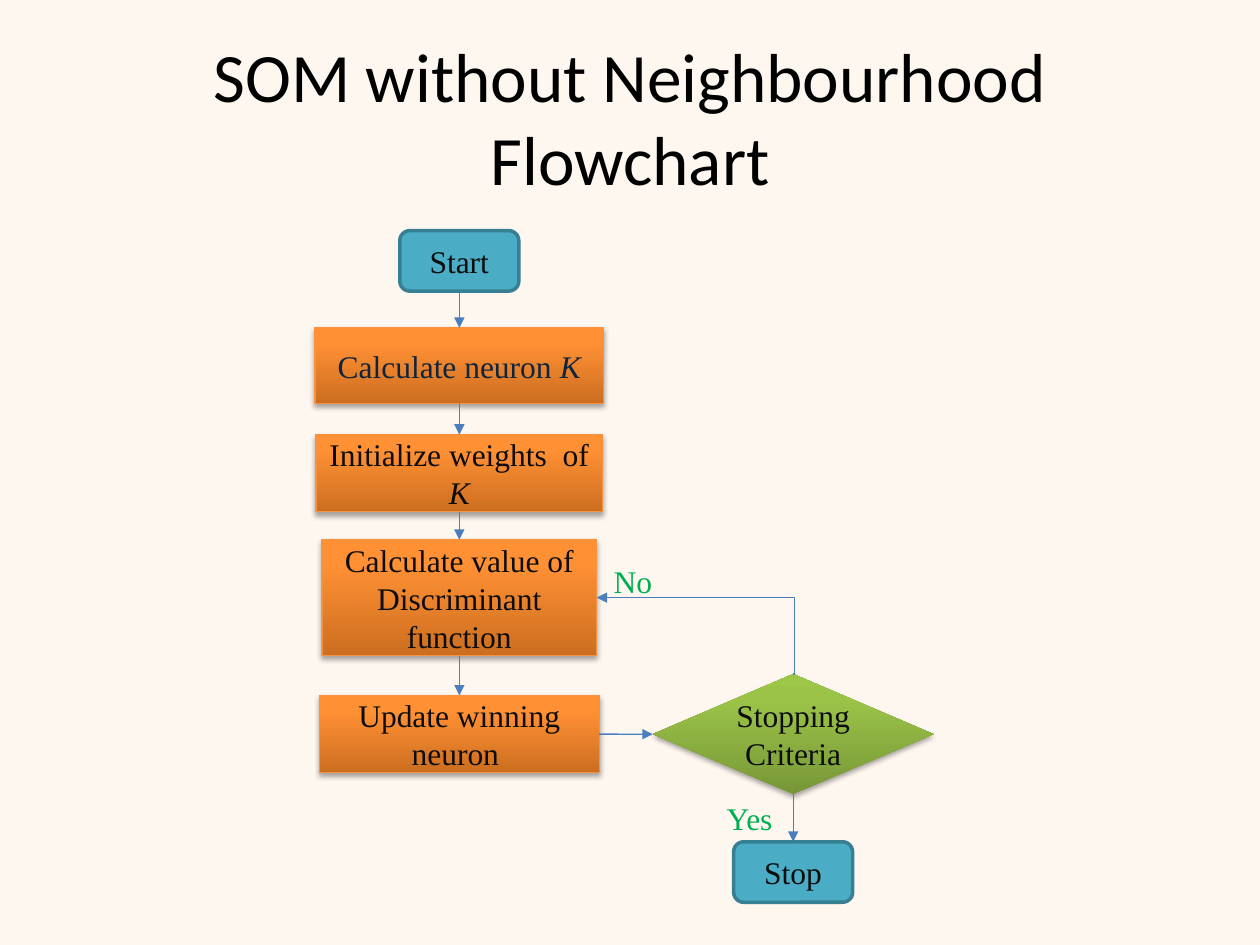
from copy import deepcopy

from lxml.etree import SubElement
from pptx import Presentation
from pptx.dml.color import RGBColor
from pptx.enum.shapes import MSO_CONNECTOR, MSO_SHAPE
from pptx.enum.text import MSO_ANCHOR, MSO_AUTO_SIZE, PP_ALIGN
from pptx.oxml.ns import qn
from pptx.util import Cm, Pt

COLORS = {
    "background": "FEF7F0",
    "title": "000000",
    "text": "0D0D0D",
    "navy": "0F243E",
    "answer": "00B050",
    "terminal": "4BACC6",
    "terminal_line": "377F92",
    "step_line": "F69240",
    "arrow": "4B7EBC",
    "shadow": "000000",
}
GRADIENTS = {
    "step": ["CC6E20", "FF9034", "FF9136"],
    "decision": ["779737", "9BC348", "9DC746"],
}
STOPS = [0, 0.8, 1]
TOP, LEFT, BOTTOM, RIGHT = range(4)


def rgb(name):
    return RGBColor.from_string(COLORS[name])


def format_run(r, size, font, color):
    r.font.size = Pt(size)
    r.font.name = font
    r.font.color.rgb = rgb(color)


def write(sp, text, color="text", italic="", align=PP_ALIGN.CENTER):
    tf = sp.text_frame
    tf.word_wrap = True
    p = tf.paragraphs[0]
    p.text = text
    p.alignment = align
    if italic:
        r = p.add_run()
        r.text = italic
        r.font.italic = True
    for r in p.runs:
        format_run(r, 18, "Times New Roman", color)


def add_gradient(sp, stops):
    sp.fill.gradient()
    sp.fill.gradient_angle = 90
    gs_list = sp._element.spPr.find(qn("a:gradFill")).find(qn("a:gsLst"))
    gs_list.append(deepcopy(gs_list[-1]))
    for stop, position, color in zip(sp.fill.gradient_stops, STOPS, stops):
        stop.position = position
        stop.color.rgb = RGBColor.from_string(color)


def add_shadow(sp):
    effects = sp._element.spPr.find(qn("a:effectLst"))
    shadow = SubElement(effects, qn("a:outerShdw"), blurRad=str(Pt(3.1)),
                        dist=str(Pt(1.8)), dir="5400000", rotWithShape="0")
    color = SubElement(shadow, qn("a:srgbClr"), val=COLORS["shadow"])
    SubElement(color, qn("a:alpha"), val="35000")


def add_node(shapes, kind, box, text, color="text", italic=""):
    sp = shapes.add_shape(kind, *box)
    sp.shadow.inherit = False
    tf = sp.text_frame
    tf.vertical_anchor = MSO_ANCHOR.MIDDLE
    tf.margin_top = tf.margin_bottom = 0
    write(sp, text, color, italic)
    return sp


def add_terminal(shapes, box, text):
    sp = add_node(shapes, MSO_SHAPE.ROUNDED_RECTANGLE, box, text)
    sp.fill.solid()
    sp.fill.fore_color.rgb = rgb("terminal")
    sp.line.color.rgb = rgb("terminal_line")
    sp.line.width = Pt(2)
    return sp


def add_step(shapes, box, text, color="text", italic=""):
    sp = add_node(shapes, MSO_SHAPE.RECTANGLE, box, text, color, italic)
    add_gradient(sp, GRADIENTS["step"])
    sp.line.color.rgb = rgb("step_line")
    sp.line.width = Pt(0.75)
    add_shadow(sp)
    return sp


def add_decision(shapes, box, text):
    sp = add_node(shapes, MSO_SHAPE.DIAMOND, box, text)
    add_gradient(sp, GRADIENTS["decision"])
    sp.line.fill.background()
    add_shadow(sp)
    return sp


def add_answer(shapes, box, text):
    sp = shapes.add_textbox(*box)
    write(sp, text, "answer", align=PP_ALIGN.LEFT)
    sp.text_frame.auto_size = MSO_AUTO_SIZE.SHAPE_TO_FIT_TEXT


def add_arrow(shapes, start, end, kind=MSO_CONNECTOR.STRAIGHT):
    cx = shapes.add_connector(kind, *start, *end)
    cx.line.color.rgb = rgb("arrow")
    cx.line.width = Pt(0.75)
    SubElement(cx.line._get_or_add_ln(), qn("a:tailEnd"), type="triangle")
    SubElement(cx._element.spPr, qn("a:effectLst"))
    return cx


def join(shapes, first, first_site, second, second_site):
    cx = add_arrow(shapes, (0, 0), (0, 0))
    cx.begin_connect(first, first_site)
    cx.end_connect(second, second_site)


def add_title(s, left, top, width, height):
    sp = s.shapes.title
    sp.left, sp.top, sp.width, sp.height = left, top, width, height
    tf = sp.text_frame
    tf.text = "SOM without Neighbourhood Flowchart"
    tf.vertical_anchor = MSO_ANCHOR.MIDDLE
    p = tf.paragraphs[0]
    p.alignment = PP_ALIGN.CENTER
    format_run(p.runs[0], 39.6, "Calibri", "title")


def add_flowchart(s, left, top):
    shapes = s.shapes.add_group_shape().shapes

    def at(x, y):
        return left + Cm(x), top + Cm(y)

    def box(x, y, width, height):
        return *at(x, y), Cm(width), Cm(height)

    start = add_terminal(shapes, box(1.71, 0, 2.4, 1.22), "Start")
    neuron = add_step(shapes, box(0, 1.96, 5.82, 1.52),
                      "Calculate neuron ", "navy", "K")
    function = add_step(shapes, box(0.14, 6.23, 5.54, 2.34),
                        "Calculate value of Discriminant function")
    weights = add_step(shapes, box(0.02, 4.11, 5.78, 1.56),
                       "Initialize weights  of ", italic="K")
    criteria = add_decision(shapes, box(6.81, 8.94, 5.66, 2.42),
                            "Stopping Criteria")
    stop = add_terminal(shapes, box(8.44, 12.32, 2.4, 1.22), "Stop")
    update = add_step(shapes, box(0.09, 9.37, 5.64, 1.56),
                      "Update winning neuron ")
    add_answer(shapes, box(5.77, 6.56, 1.8, 0.91), "No")
    add_answer(shapes, box(8.05, 11.33, 1.7, 0.91), "Yes")

    column = [start, neuron, weights, function, update]
    for upper, lower in zip(column, column[1:]):
        join(shapes, upper, BOTTOM, lower, TOP)
    join(shapes, update, RIGHT, criteria, LEFT)
    join(shapes, criteria, BOTTOM, stop, TOP)

    loop = add_arrow(shapes, at(9.64, 8.94), at(5.68, 7.4),
                     MSO_CONNECTOR.ELBOW)
    guides = loop._element.spPr.find(qn("a:prstGeom")).find(qn("a:avLst"))
    SubElement(guides, qn("a:gd"), name="adj1", fmla="val -700")


def main():
    prs = Presentation()
    prs.slide_width, prs.slide_height = Cm(25.4), Cm(19.05)
    s = prs.slides.add_slide(prs.slide_layouts[5])
    s.background.fill.solid()
    s.background.fill.fore_color.rgb = rgb("background")
    add_title(s, Cm(1.27), Cm(0.76), Cm(22.86), Cm(3.18))
    add_flowchart(s, Cm(6.35), Cm(4.65))
    prs.save("out.pptx")


if __name__ == "__main__":
    main()
